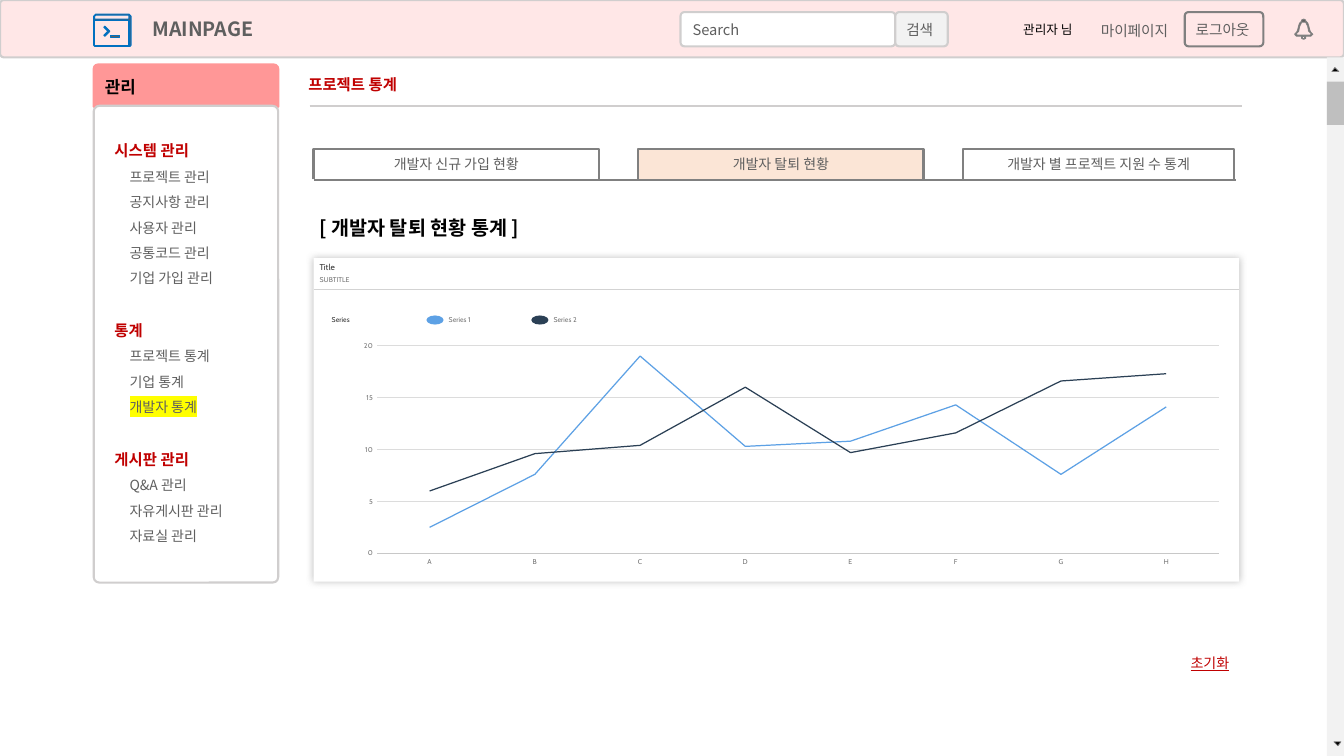
from lxml import etree
from pptx import Presentation
from pptx import util as u
from pptx.chart import data as chart_data
from pptx.dml.color import RGBColor
from pptx.enum import chart as charts, shapes, text
from pptx.oxml import ns, parse_xml

KOREAN, LATIN = "Noto Sans CJK KR", "Cabin"
COLORS = {
    "white": "FFFFFF", "black": "000000", "red": "C00000", "gray": "5F5F5F",
    "border": "D0CECE", "edge": "808080", "pale": "F2F2F2", "thumb": "BFBFBF",
    "bar": "FFE7E7", "menu": "FF9797", "active": "FBE5D6", "icon": "0070C0",
    "rule": "D3D3D3", "grid": "DCDCDC", "axis": "C8C8C8", "label": "777777",
    "title": "333333", "series 1": "5DA1E5", "series 2": "2B4055", "mark": "FFFF00",
}
COLORS = {name: RGBColor.from_string(value) for name, value in COLORS.items()}
KINDS = shapes.MSO_SHAPE
ALIGN, ANCHOR = text.PP_ALIGN, text.MSO_ANCHOR

presentation = Presentation()
presentation.slide_width, presentation.slide_height = u.Inches(13.33), u.Inches(7.5)
slide = presentation.slides.add_slide(presentation.slide_layouts[6])


def paint(shape, fill=None, line=None, width=1.5):
    shape.shadow.inherit = False
    if fill:
        shape.fill.solid()
        shape.fill.fore_color.rgb = COLORS[fill]
    else:
        shape.fill.background()
    if line:
        shape.line.color.rgb = COLORS[line]
        shape.line.width = u.Pt(width)
    else:
        shape.line.fill.background()


def write(paragraph, words, size, color, name=KOREAN, align=ALIGN.LEFT, **styles):
    paragraph.alignment = align
    run = paragraph.add_run()
    run.text = words
    for attribute, value in {"size": u.Pt(size), "name": name, **styles}.items():
        setattr(run.font, attribute, value)
    run.font.color.rgb = COLORS[color]
    east_asian = etree.SubElement(run._r.get_or_add_rPr(), ns.qn("a:ea"))
    east_asian.set("typeface", name)
    return run


# Panels: kind, box, corner, fill, line, left inset, text format
bold = {"bold": True}
button = {"size": 10.5, "color": "gray"}
legend = {"size": 5, "color": "label", "name": LATIN}
panels = [
    (KINDS.ROUND_2_SAME_RECTANGLE, (0.93, 0.64, 1.83, 0.42), 0.1, "menu", "menu", 0.1,
     {"words": "관리", "size": 12, "color": "black", **bold}),
    (KINDS.ROUNDED_RECTANGLE, (0, 0, 13.33, 0.57), 0.07, "bar", "border", 1.5,
     {"words": "MAINPAGE", "size": 14, "color": "gray", **bold}),
    (KINDS.ROUNDED_RECTANGLE, (6.75, 0.12, 2.13, 0.34), 0.11, "white", "border", 0.11,
     {"words": "Search", **button}),
    (KINDS.ROUNDED_RECTANGLE, (8.88, 0.12, 0.52, 0.34), 0.11, "pale", "border", 0.1,
     {"words": "검색", **button}),
    (KINDS.ROUNDED_RECTANGLE, (11.75, 0.12, 0.78, 0.34), 0.11, "bar", "edge", 0.1,
     {"words": "로그아웃", **button}),
    (KINDS.RECTANGLE, (10.82, 0.13, 0.91, 0.34), None, None, None, 0.1,
     {"words": "마이페이지", **button}),
    (KINDS.RECTANGLE, (10.05, 0.17, 0.86, 0.25), None, None, None, 0.1,
     {"words": "관리자 님", "size": 9, "color": "black"}),
    (KINDS.RECTANGLE, (13.16, 0.57, 0.17, 6.93), None, "pale", None, 0, None),
    (KINDS.RECTANGLE, (13.16, 0.81, 0.17, 0.43), None, "thumb", None, 0, None),
    (KINDS.RECTANGLE, (2.96, 0.69, 1.73, 0.29), None, None, None, 0.1,
     {"words": "프로젝트 통계", "size": 11, "color": "red", **bold}),
    (KINDS.RECTANGLE, (3.07, 2.05, 6.53, 0.41), None, None, None, 0.1,
     {"words": "[ 개발자 탈퇴 현황 통계 ]", "size": 14, "color": "black", **bold}),
    (KINDS.RECTANGLE, (11.7, 6.44, 0.6, 0.27), None, None, None, 0.05,
     {"words": "초기화", "size": 10, "color": "red", "underline": True, "align": ALIGN.CENTER}),
    (KINDS.RECTANGLE, (3.11, 2.56, 9.18, 3.21), None, "white", None, 0, None),
    (KINDS.RECTANGLE, (3.17, 2.59, 0.6, 0.12), None, None, None, 0,
     {"words": "Title", "size": 6, "color": "title", "name": LATIN}),
    (KINDS.RECTANGLE, (3.17, 2.73, 0.6, 0.08), None, None, None, 0,
     {"words": "SUBTITLE", **legend}),
    (KINDS.RECTANGLE, (3.29, 3.11, 0.52, 0.12), None, None, None, 0,
     {"words": "Series", **legend, "color": "title"}),
]
for number, left in enumerate((4.23, 5.27), 1):
    panels += [
        (KINDS.OVAL, (left, 3.13, 0.17, 0.09), None, f"series {number}", None, 0, None),
        (KINDS.RECTANGLE, (left + 0.22, 3.11, 0.69, 0.12), None, None, None, 0,
         {"words": f"Series {number}", **legend}),
    ]
for kind, box, corner, fill, line, inset, words in panels:
    shape = slide.shapes.add_shape(kind, *map(u.Inches, box))
    if corner:
        shape.adjustments[0] = corner
    paint(shape, fill, line)
    if box[3] == 3.21:
        # Soft glow around the chart card
        shape._element.spPr.find(ns.qn("a:effectLst")).append(parse_xml(
            f'<a:outerShdw {ns.nsdecls("a")} blurRad="63500" dist="0" dir="0">'
            '<a:srgbClr val="808080"><a:alpha val="50000"/></a:srgbClr></a:outerShdw>'))
    if words:
        frame = shape.text_frame
        for attribute, value in {
            "word_wrap": True, "vertical_anchor": ANCHOR.MIDDLE, "margin_top": 0,
            "margin_bottom": 0, "margin_left": u.Inches(inset),
            "margin_right": u.Inches(min(inset, 0.1)),
        }.items():
            setattr(frame, attribute, value)
        write(frame.paragraphs[0], **words)

# Side menu
menu = {
    "시스템 관리": ["프로젝트 관리", "공지사항 관리", "사용자 관리", "공통코드 관리", "기업 가입 관리"],
    "통계": ["프로젝트 통계", "기업 통계", "개발자 통계"],
    "게시판 관리": ["Q&A 관리", "자유게시판 관리", "자료실 관리"],
}
shape = slide.shapes.add_shape(
    KINDS.ROUNDED_RECTANGLE, *map(u.Inches, (0.93, 1.05, 1.83, 4.73)))
shape.adjustments[0] = 0.03
paint(shape, "white", "border")
frame = shape.text_frame
for attribute, value in {"word_wrap": True, "vertical_anchor": ANCHOR.TOP,
                         "margin_left": u.Inches(0.19), "margin_top": u.Inches(0.27)}.items():
    setattr(frame, attribute, value)
paragraph = frame.paragraphs[0]
for heading, items in menu.items():
    if heading != "시스템 관리":
        paragraph = frame.add_paragraph()
        paragraph.space_before = u.Pt(19.5)
    paragraph.line_spacing = u.Pt(18.1)
    write(paragraph, heading, 11, "red", bold=True)
    for item in items:
        paragraph = frame.add_paragraph()
        paragraph.line_spacing = u.Pt(18.1)
        paragraph._p.get_or_add_pPr().set("marL", str(u.Inches(0.15)))
        run = write(paragraph, item, 10, "gray")
        if item == "개발자 통계":
            run.font._element.find(ns.qn("a:latin")).addprevious(parse_xml(
                f'<a:highlight {ns.nsdecls("a")}><a:srgbClr val="{COLORS["mark"]}"/></a:highlight>'))

# Rules
for left, right, y, color, width in [(3.07, 12.32, 1.05, "border", 1.5),
                                     (3.11, 12.26, 1.79, "edge", 1.5),
                                     (3.11, 12.29, 2.87, "rule", 0.5)]:
    rule = slide.shapes.add_connector(
        shapes.MSO_CONNECTOR.STRAIGHT, *map(u.Inches, (left, y, right, y)))
    rule.line.color.rgb = COLORS[color]
    rule.line.width = u.Pt(width)
    etree.SubElement(rule._element.spPr, ns.qn("a:effectLst"))

# Outlines: tabs, scroll arrows, window icon, bell
window = [
    [(0.95, 0.14), (1.28, 0.14), (1.3, 0.16), (1.3, 0.45), (1.29, 0.46), (0.94, 0.46),
     (0.93, 0.45), (0.93, 0.16)],
    [(0.95, 0.15), (1.28, 0.15), (1.28, 0.19), (0.94, 0.19), (0.94, 0.16)],
    [(0.94, 0.2), (1.28, 0.2), (1.28, 0.45), (0.94, 0.45)],
    [(1.04, 0.26), (1.03, 0.27), (1.07, 0.31), (1.03, 0.35), (1.04, 0.36), (1.09, 0.31)],
    [(1.1, 0.35), (1.19, 0.35), (1.19, 0.37), (1.1, 0.37)],
]
bell_halves = [
    [(12.93, 0.19), (12.91, 0.2), (12.91, 0.21), (12.89, 0.23), (12.88, 0.26), (12.87, 0.3),
     (12.86, 0.32), (12.84, 0.34), (12.86, 0.36), (12.91, 0.36), (12.91, 0.38), (12.93, 0.39)],
    [(12.93, 0.22), (12.91, 0.22), (12.9, 0.24), (12.89, 0.26), (12.88, 0.31), (12.86, 0.33),
     (12.85, 0.34), (12.87, 0.35), (12.93, 0.35)],
    [(12.93, 0.36), (12.92, 0.36), (12.92, 0.38), (12.93, 0.38)],
]
bell = [half + [(25.86 - x, y) for x, y in reversed(half)] for half in bell_halves]
outlines = [
    (window, True, "gray", "icon", 0.75, None),
    (bell, True, "gray", "edge", 0.75, None),
    ([[(13.23, 7.36), (13.3, 7.36), (13.27, 7.4)]], True, "black", "edge", 0.5, None),
    ([[(13.21, 0.71), (13.28, 0.71), (13.24, 0.67)]], True, "black", "edge", 0.5, None),
]
for left, right, fill, words in [(3.11, 5.94, None, "개발자 신규 가입 현황"),
                                 (6.33, 9.16, "active", "개발자 탈퇴 현황"),
                                 (9.55, 12.24, None, "개발자 별 프로젝트 지원 수 통계")]:
    tab = [(left, 1.78), (left, 1.48), (right, 1.48), (right, 1.78)]
    outlines.append(([tab], False, fill, "edge", 1.5, words))
for contours, closed, fill, line, width, words in outlines:
    builder = None
    for contour in contours:
        start, *points = [(u.Inches(x), u.Inches(y)) for x, y in contour]
        if builder:
            builder.move_to(*start)
        else:
            builder = slide.shapes.build_freeform(*start)
        builder.add_line_segments(points, close=closed)
    shape = builder.convert_to_shape()
    paint(shape, fill, line, width)
    if words:
        shape.text_frame.vertical_anchor = ANCHOR.MIDDLE
        shape.text_frame.word_wrap = True
        write(shape.text_frame.paragraphs[0], words, 10, "gray", align=ALIGN.CENTER)

# Line chart
values = chart_data.CategoryChartData()
values.categories = list("ABCDEFGH")
values.add_series("Series 1", (2.5, 7.6, 19, 10.3, 10.8, 14.3, 7.6, 14.1))
values.add_series("Series 2", (6, 9.6, 10.4, 16, 9.7, 11.6, 16.6, 17.3))
chart = slide.shapes.add_chart(
    charts.XL_CHART_TYPE.LINE, *map(u.Inches, (3.11, 3.3, 9.18, 2.47)), values).chart
chart.has_legend = chart.has_title = False
chart.font.size, chart.font.name = u.Pt(5), LATIN
chart.font.color.rgb = COLORS["label"]
chart.plots[0].vary_by_categories = False
for series, color in zip(chart.plots[0].series, ("series 1", "series 2")):
    series.smooth = False
    series.marker.style = charts.XL_MARKER_STYLE.NONE
    series.format.line.color.rgb = COLORS[color]
    series.format.line.width = u.Pt(0.88)
for axis in (chart.value_axis, chart.category_axis):
    axis.major_tick_mark = axis.minor_tick_mark = charts.XL_TICK_MARK.NONE
for attribute, value in {"minimum_scale": 0, "maximum_scale": 20, "major_unit": 5}.items():
    setattr(chart.value_axis, attribute, value)
chart.value_axis.format.line.fill.background()
for line, color, width in [(chart.value_axis.major_gridlines.format.line, "grid", 0.5),
                           (chart.category_axis.format.line, "axis", 0.88)]:
    line.color.rgb = COLORS[color]
    line.width = u.Pt(width)
plot_area = chart._chartSpace.chart.plotArea
for layout in plot_area.findall(ns.qn("c:layout")):
    plot_area.remove(layout)
sizes = {"x": 0.63 / 9.18, "y": 0.13 / 2.47, "w": 8.35 / 9.18, "h": 2.06 / 2.47}
plot_area.insert(0, parse_xml(
    f'<c:layout {ns.nsdecls("c")}><c:manualLayout><c:layoutTarget val="inner"/>'
    '<c:xMode val="edge"/><c:yMode val="edge"/>'
    + "".join(f'<c:{side} val="{size:.4f}"/>' for side, size in sizes.items())
    + "</c:manualLayout></c:layout>"))

presentation.save("out.pptx")
